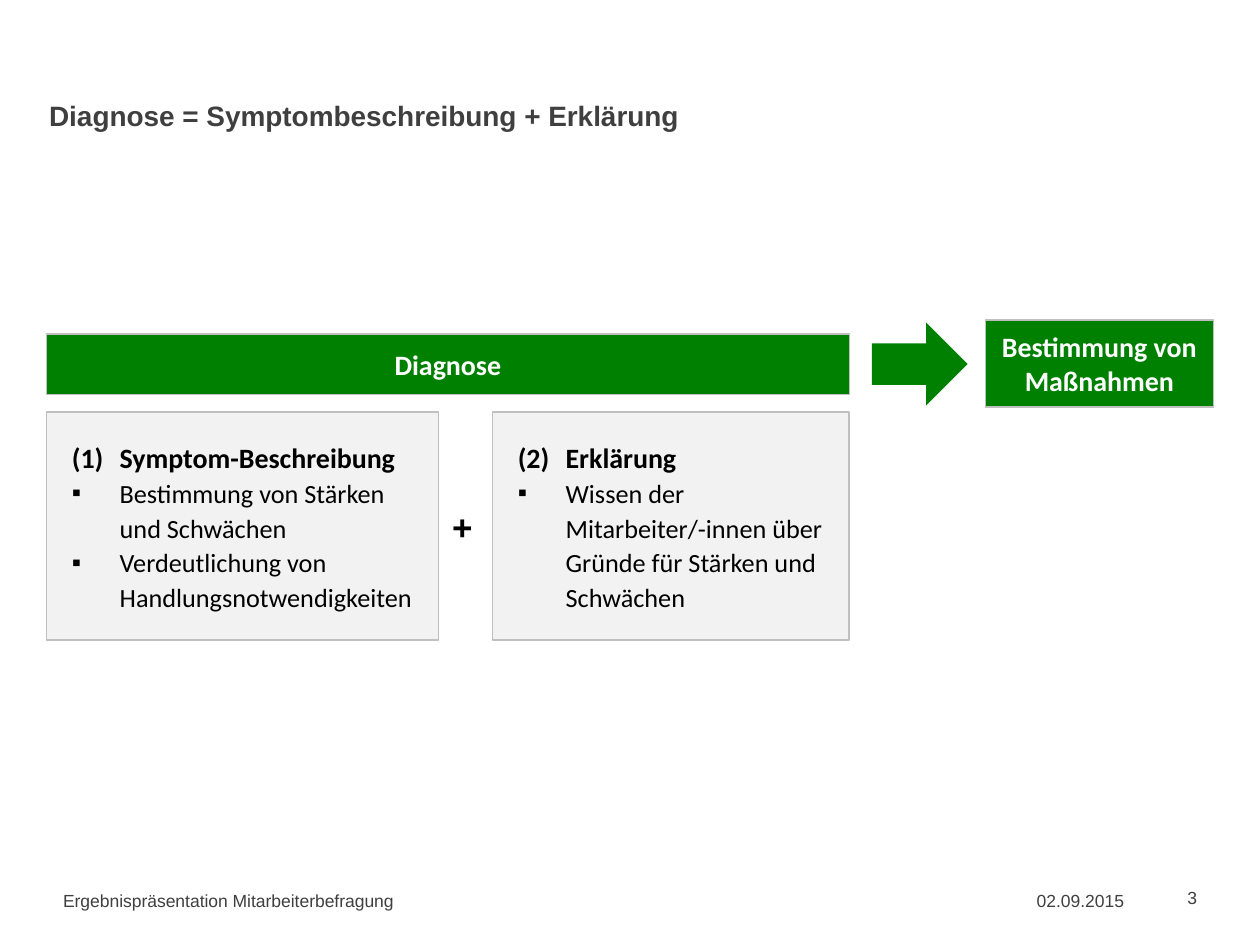
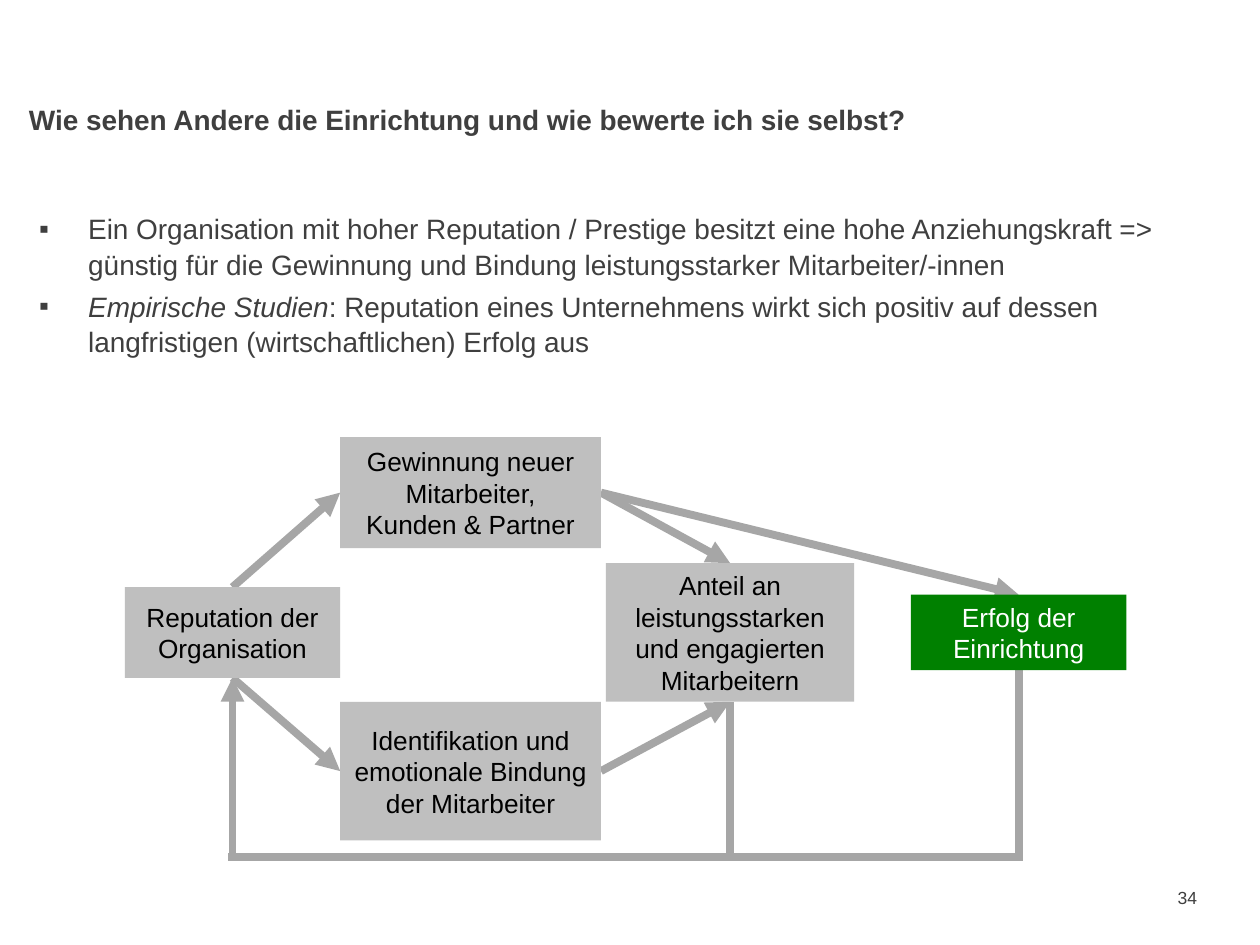
import pptx
import pptx.util
import pptx.dml.color
import pptx.enum.shapes
import pptx.enum.text
import pptx.oxml.ns
from lxml import etree

Inches = pptx.util.Inches
Pt = pptx.util.Pt
RGBColor = pptx.dml.color.RGBColor
MSO_SHAPE = pptx.enum.shapes.MSO_SHAPE
PP_ALIGN = pptx.enum.text.PP_ALIGN
MSO_ANCHOR = pptx.enum.text.MSO_ANCHOR
qn = pptx.oxml.ns.qn

GREEN = RGBColor(0x00, 0x80, 0x00)
DARK_GRAY = RGBColor(0x3F, 0x3F, 0x3F)
BOX_GRAY = RGBColor(0xBF, 0xBF, 0xBF)
ARROW_GRAY = RGBColor(0xA6, 0xA6, 0xA6)
PANEL_GRAY = RGBColor(0xF2, 0xF2, 0xF2)
WHITE = RGBColor(0xFF, 0xFF, 0xFF)
BLACK = RGBColor(0x00, 0x00, 0x00)

DEFAULT_INSETS = (0.1, 0.05, 0.1, 0.05)
TITLE_INSETS = (0.11, 0.05, 0.11, 0.05)
PANEL_INSETS = (0.2, 0.2, 0.16, 0.1)
TOP, LEFT, BOTTOM, RIGHT = range(4)


def to_inches(box):
    return [Inches(value) for value in box]


def format_runs(paragraph, size, color, font="Arial", bold=False):
    for run in paragraph.runs:
        run.font.size = Pt(size)
        run.font.name = font
        run.font.bold = bold
        run.font.color.rgb = color


def write_text(shape, text, size, color, font="Arial", bold=False, align=PP_ALIGN.LEFT,
               anchor=MSO_ANCHOR.TOP, insets=DEFAULT_INSETS):
    """Fill a shape with text, one paragraph per line, in a single style."""
    frame = shape.text_frame
    frame.text = text
    frame.word_wrap = True
    frame.vertical_anchor = anchor
    (frame.margin_left, frame.margin_top,
     frame.margin_right, frame.margin_bottom) = to_inches(insets)
    for paragraph in frame.paragraphs:
        paragraph.alignment = align
        format_runs(paragraph, size, color, font, bold)


def add_text(slide, box, text, size, color, **style):
    shape = slide.shapes.add_textbox(*to_inches(box))
    write_text(shape, text, size, color, **style)
    return shape


def add_block(slide, box, fill, line=None, kind=MSO_SHAPE.RECTANGLE):
    shape = slide.shapes.add_shape(kind, *to_inches(box))
    shape.shadow.inherit = False
    shape.fill.solid()
    shape.fill.fore_color.rgb = fill
    if line is None:
        shape.line.fill.background()
    else:
        shape.line.color.rgb = line
        shape.line.width = Pt(0.75)
    return shape


def set_bullet(paragraph, indent, line_spacing, number=None):
    """Give a hanging indent with a square bullet, or with a number in brackets."""
    paragraph.line_spacing = line_spacing
    properties = paragraph._p.get_or_add_pPr()
    properties.set("marL", str(Inches(indent)))
    properties.set("indent", str(-Inches(indent)))
    if number is None:
        etree.SubElement(properties, qn("a:buFont"), typeface="Arial")
        etree.SubElement(properties, qn("a:buChar"), char="▪")
    else:
        etree.SubElement(properties, qn("a:buFont"), typeface="+mj-lt")
        etree.SubElement(properties, qn("a:buAutoNum"), type="arabicParenBoth",
                         startAt=str(number))


def add_line(slide, start, end, arrow=False):
    """Draw a thick line; each end is a point or a pair of shape and side."""
    connector = slide.shapes.add_connector(
        pptx.enum.shapes.MSO_CONNECTOR.STRAIGHT, 0, 0, 0, 0)
    if isinstance(start[0], pptx.util.Length):
        connector.begin_x, connector.begin_y = start
    else:
        connector.begin_connect(*start)
    if isinstance(end[0], pptx.util.Length):
        connector.end_x, connector.end_y = end
    else:
        connector.end_connect(*end)
    connector.line.color.rgb = ARROW_GRAY
    connector.line.width = Pt(4.5)
    if arrow:
        etree.SubElement(connector.line._get_or_add_ln(), qn("a:tailEnd"), type="triangle")
    etree.SubElement(connector._element.spPr, qn("a:effectLst"))


def add_titled_slide(presentation, title, left, top, number):
    slide = presentation.slides.add_slide(presentation.slide_layouts[5])
    shape = slide.shapes.title
    shape.left, shape.top, shape.width, shape.height = to_inches((left, top, 9, 0.66))
    write_text(shape, title, 16, DARK_GRAY, bold=True, insets=TITLE_INSETS)
    add_text(slide, (8.92, 6.95, 0.58, 0.4), number, 10, DARK_GRAY, align=PP_ALIGN.RIGHT,
             anchor=MSO_ANCHOR.MIDDLE, insets=(0, 0, 0, 0.05))
    return slide


def add_footer(slide, left, top, label, date):
    for box, text, align in (((left, top, 6.92, 0.4), label, PP_ALIGN.LEFT),
                             ((left + 6.92, top, 1.5, 0.4), date, PP_ALIGN.RIGHT)):
        add_text(slide, box, text, 10, DARK_GRAY, align=align,
                 anchor=MSO_ANCHOR.MIDDLE, insets=(0, 0, 0, 0))


def add_panel(slide, box, number, heading, points):
    panel = add_block(slide, box, PANEL_GRAY, BOX_GRAY)
    write_text(panel, "\n".join([heading, *points]), 15, BLACK, font="Calibri",
               insets=PANEL_INSETS)
    first, *others = panel.text_frame.paragraphs
    format_runs(first, 16, BLACK, "Calibri", bold=True)
    first.space_before = Pt(5.8)
    set_bullet(first, 0.38, 1.1, number)
    for paragraph in others:
        set_bullet(paragraph, 0.38, 1.1)


def add_diagnosis(slide, left, top):
    """Place the diagnosis bar, its two parts and the resulting measures."""
    for box, text in (((left, top + 0.11, 6.37, 0.48), "Diagnose"),
                      ((left + 7.45, top, 1.81, 0.69), "Bestimmung von Maßnahmen")):
        bar = add_block(slide, box, GREEN, BOX_GRAY)
        write_text(bar, text, 16, WHITE, font="Calibri", bold=True,
                   align=PP_ALIGN.CENTER, anchor=MSO_ANCHOR.MIDDLE)
    add_block(slide, (left + 6.55, top + 0.02, 0.76, 0.66), GREEN,
              kind=MSO_SHAPE.RIGHT_ARROW)
    panel_top = top + 0.73
    add_panel(slide, (left, panel_top, 3.11, 1.81), 1, "Symptom-Beschreibung",
              ["Bestimmung von Stärken und Schwächen",
               "Verdeutlichung von Handlungsnotwendigkeiten"])
    add_text(slide, (left + 3.12, panel_top + 0.69, 0.37, 0.43), "+", 20, BLACK, bold=True)
    add_panel(slide, (left + 3.54, panel_top, 2.83, 1.81), 2, "Erklärung",
              ["Wissen der Mitarbeiter/-innen über Gründe für Stärken und Schwächen"])


def add_reputation_points(slide, box):
    points = add_text(
        slide, box,
        "Ein Organisation mit hoher Reputation / Prestige besitzt eine hohe "
        "Anziehungskraft => günstig für die Gewinnung und Bindung leistungsstarker "
        "Mitarbeiter/-innen\nEmpirische Studien",
        16, DARK_GRAY, insets=TITLE_INSETS)
    studies = points.text_frame.paragraphs[1]
    studies.add_run().text = (": Reputation eines Unternehmens wirkt sich positiv auf dessen "
                              "langfristigen (wirtschaftlichen) Erfolg aus")
    format_runs(studies, 16, DARK_GRAY)
    studies.runs[0].font.italic = True
    for paragraph in points.text_frame.paragraphs:
        paragraph.space_before = Pt(4)
        set_bullet(paragraph, 0.39, 1.05)


def add_reputation_cycle(slide, left, top):
    """Place the boxes from reputation to success, their arrows and the way back."""
    def add_stage(x, y, width, height, text, fill=BOX_GRAY, color=BLACK):
        stage = add_block(slide, (left + x, top + y, width, height), fill)
        write_text(stage, text, 15, color, align=PP_ALIGN.CENTER, anchor=MSO_ANCHOR.MIDDLE)
        return stage

    reputation = add_stage(0, 1.19, 1.71, 0.72, "Reputation der Organisation")
    bonding = add_stage(1.71, 2.1, 2.07, 1.1,
                        "Identifikation und emotionale Bindung der Mitarbeiter")
    performers = add_stage(3.82, 1, 1.97, 1.1,
                           "Anteil an leistungsstarken und engagierten Mitarbeitern")
    success = add_stage(6.24, 1.25, 1.71, 0.6, "Erfolg der Einrichtung", GREEN, WHITE)
    recruiting = add_stage(1.71, 0, 2.07, 0.88,
                           "Gewinnung neuer Mitarbeiter,\nKunden & Partner")

    for start, end in (((recruiting, RIGHT), (performers, TOP)),
                       ((bonding, RIGHT), (performers, BOTTOM)),
                       ((reputation, TOP), (recruiting, LEFT)),
                       ((reputation, BOTTOM), (bonding, LEFT)),
                       ((recruiting, RIGHT), (success, TOP))):
        add_line(slide, start, end, arrow=True)

    def below(stage, shift=0):
        return pptx.util.Emu(stage.left + stage.width // 2 + shift), Inches(top + 3.33)

    half_line = Pt(2.25)
    add_line(slide, below(success, half_line), below(reputation, -half_line))
    for stage in (success, performers):
        add_line(slide, (stage, BOTTOM), below(stage))
    add_line(slide, below(reputation), (reputation, BOTTOM), arrow=True)

    for stage in (reputation, bonding, performers, success, recruiting):
        stage.element.getparent().append(stage.element)  # boxes in front of the lines


def main():
    presentation = pptx.Presentation()
    presentation.slide_width = Inches(10)
    presentation.slide_height = Inches(7.5)

    slide = add_titled_slide(presentation, "Diagnose = Symptombeschreibung + Erklärung",
                             0.28, 0.73, "3")
    add_footer(slide, 0.5, 6.95, "Ergebnispräsentation Mitarbeiterbefragung", "02.09.2015")
    add_diagnosis(slide, 0.37, 2.54)

    slide = add_titled_slide(
        presentation, "Wie sehen Andere die Einrichtung und wie bewerte ich sie selbst?",
        0.12, 0.76, "34")
    add_reputation_points(slide, (0.2, 1.62, 9.29, 2.52))
    add_reputation_cycle(slide, 0.99, 3.47)

    presentation.save("out.pptx")


if __name__ == "__main__":
    main()
